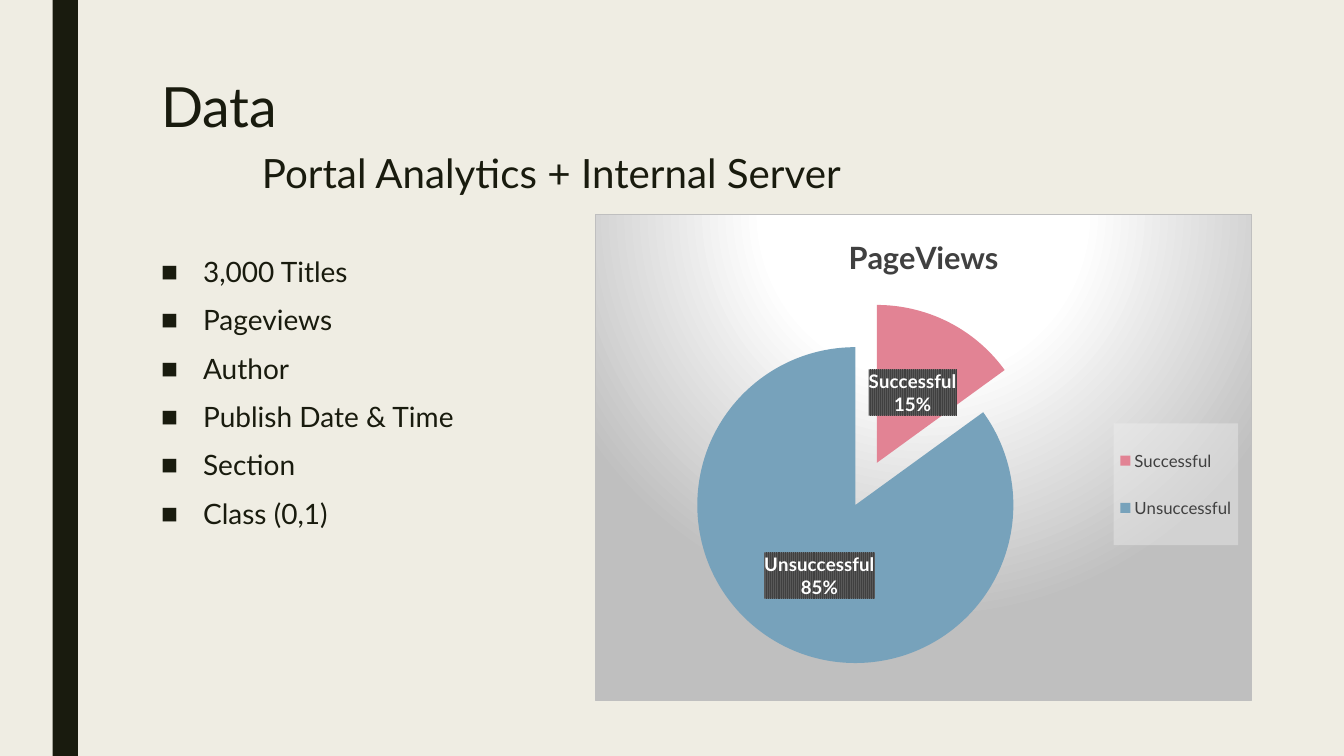
from dataclasses import dataclass

from lxml import etree
from pptx import Presentation
from pptx import util as u
from pptx.chart import data as cd
from pptx.dml import color
from pptx.enum import chart as ce
from pptx.enum import shapes, text
from pptx.oxml import ns, parse_xml

Pt = u.Pt


@dataclass(frozen=True)
class Theme:
    font: str = "Lato"
    paper: str = "EFEDE3"
    ink: str = "191B0E"
    gray: str = "404040"
    hatch: str = "595959"
    panel: str = "F2F2F2"
    white: str = "FFFFFF"
    black: str = "000000"
    border: str = "BFBFBF"
    slices: tuple = ("E28394", "77A2BB")
    title: float = 39.6
    subtitle: float = 28.8
    body: float = 20
    chart_title: float = 22
    chart_text: float = 10
    label: float = 13.3
    legend: float = 12


T = Theme()
BULLETS = ["3,000 Titles", "Pageviews", "Author", "Publish Date & Time",
           "Section", "Class (0,1)"]
SHARES = {"Successful": 15, "Unsuccessful": 85}
EXPLOSIONS = (22, 8)


def rgb(value):
    return color.RGBColor.from_string(value)


def xml(tag, inner="", **attributes):
    el = parse_xml(f'<{tag} {ns.nsdecls("a", "c")}>{inner}</{tag}>')
    for name, value in attributes.items():
        el.set(name, str(value))
    return el


def solid(value, alpha=100):
    return (f'<a:solidFill><a:srgbClr val="{value}">'
            f'<a:alpha val="{alpha * 1000}"/></a:srgbClr></a:solidFill>')


def style(font, size, value, bold=False):
    font.name, font.size, font.bold = T.font, Pt(size), bold
    font.color.rgb = rgb(value)


def add_text(p, content, size=T.body, value=T.ink, bold=False, spacing=1.0,
             before=0, after=0, indent=0, bullet=None):
    r = p.add_run()
    r.text = content
    style(r.font, size, value, bold)
    p.line_spacing = spacing
    p.space_before, p.space_after = Pt(before), Pt(after)
    pPr = p._p.get_or_add_pPr()
    pPr.set("marL", str(Pt(indent)))
    if bullet:
        pPr.set("indent", str(-Pt(indent)))
        pPr.append(xml("a:buFont", typeface="Arial"))
        etree.SubElement(pPr, ns.qn("a:buChar")).set("char", bullet)


def add_box(s, left, top, width, height):
    tf = s.shapes.add_textbox(Pt(left), Pt(top), Pt(width), Pt(height)).text_frame
    tf.word_wrap = True
    tf.vertical_anchor = text.MSO_ANCHOR.TOP
    return tf


def add_stripe(s):
    sp = s.shapes.add_shape(shapes.MSO_SHAPE.RECTANGLE,
                            Pt(37.6), Pt(0), Pt(18), Pt(540))
    sp.shadow.inherit = False
    sp.fill.solid()
    sp.fill.fore_color.rgb = rgb(T.ink)
    sp.line.fill.background()


def add_heading(s):
    tf = add_box(s, 108, 54, 756, 116.6)
    add_text(tf.paragraphs[0], "Data", size=T.title, spacing=0.89)
    add_text(tf.add_paragraph(), "Portal Analytics + Internal Server",
             size=T.subtitle, spacing=0.89, before=10, indent=72)


def add_bullets(s):
    tf = add_box(s, 108, 180, 300, 282)
    for i, item in enumerate(BULLETS):
        p = tf.add_paragraph() if i else tf.paragraphs[0]
        add_text(p, item, spacing=0.94, before=10 if i else 0, after=2,
                 indent=30, bullet="■")


def layout(x, y, w, h, inner=False):
    target = '<c:layoutTarget val="inner"/>' if inner else ""
    modes = '<c:xMode val="edge"/><c:yMode val="edge"/>'
    place = "".join(f'<c:{k} val="{v}"/>' for k, v in zip("xywh", (x, y, w, h)))
    return xml("c:layout",
               f"<c:manualLayout>{target}{modes}{place}</c:manualLayout>")


def drop_layout(el):
    for old in el.findall(ns.qn("c:layout")):
        el.remove(old)


def format_area(chart):
    stops = "".join(
        f'<a:gs pos="{pos * 1000}"><a:srgbClr val="{value}"/></a:gs>'
        for pos, value in ((0, T.white), (39, T.white), (100, T.border)))
    sp_pr = xml("c:spPr", (
        f'<a:gradFill><a:gsLst>{stops}</a:gsLst><a:path path="circle">'
        '<a:fillToRect l="50000" t="-80000" r="50000" b="180000"/></a:path>'
        f'</a:gradFill><a:ln w="{Pt(0.75)}">{solid(T.border)}</a:ln>'))
    chart._chartSpace.find(ns.qn("c:txPr")).addprevious(sp_pr)


def format_legend(chart):
    chart.has_legend = True
    legend = chart.legend
    legend.position = ce.XL_LEGEND_POSITION.RIGHT
    legend.include_in_layout = False
    style(legend.font, T.legend, T.gray)
    el = legend._element
    drop_layout(el)
    el.find(ns.qn("c:overlay")).addprevious(layout(0.79, 0.43, 0.19, 0.25))
    el.find(ns.qn("c:txPr")).addprevious(xml("c:spPr", solid(T.panel, 39)))


def format_labels(plot):
    plot.has_data_labels = True
    labels = plot.data_labels
    labels.show_category_name = labels.show_percentage = True
    labels.show_value = False
    labels.position = ce.XL_LABEL_POSITION.CENTER
    style(labels.font, T.label, T.white, bold=True)
    el = labels._element
    el.find(ns.qn("c:txPr")).addprevious(xml("c:spPr", (
        '<a:pattFill prst="narVert">'
        f'<a:fgClr><a:srgbClr val="{T.gray}"/></a:fgClr>'
        f'<a:bgClr><a:srgbClr val="{T.hatch}"/></a:bgClr></a:pattFill>')))
    el.find(ns.qn("c:showBubbleSize")).addnext(xml("c:separator", "\n"))


def format_slices(plot):
    series = plot.series[0]
    for i, (value, distance) in enumerate(zip(T.slices, EXPLOSIONS)):
        fmt = series.points[i].format
        fmt.fill.solid()
        fmt.fill.fore_color.rgb = rgb(value)
        fmt.line.fill.background()
        dPt = series._element.findall(ns.qn("c:dPt"))[i]
        dPt.find(ns.qn("c:spPr")).addprevious(xml("c:explosion", val=distance))


def add_pie(s):
    data = cd.CategoryChartData()
    data.categories = list(SHARES)
    data.add_series("PageViews", list(SHARES.values()))
    chart = s.shapes.add_chart(ce.XL_CHART_TYPE.PIE, Pt(425), Pt(152.8),
                               Pt(469.2), Pt(348), data).chart
    style(chart.font, T.chart_text, T.black)
    chart.has_title = True
    add_text(chart.chart_title.text_frame.paragraphs[0], "PageViews",
             size=T.chart_title, value=T.gray, bold=True)
    chart.chart_title.include_in_layout = False
    plot = chart.plots[0]
    plot.vary_by_categories = True
    format_area(chart)
    format_slices(plot)
    format_labels(plot)
    format_legend(chart)
    area = plot._element.getparent()
    drop_layout(area)
    area.insert(0, layout(0.16, 0.25, 0.49, 0.65, inner=True))


def main():
    prs = Presentation()
    prs.slide_width, prs.slide_height = Pt(960), Pt(540)
    s = prs.slides.add_slide(prs.slide_layouts[6])
    s.background.fill.solid()
    s.background.fill.fore_color.rgb = rgb(T.paper)
    add_stripe(s)
    add_heading(s)
    add_bullets(s)
    add_pie(s)
    prs.save("out.pptx")


if __name__ == "__main__":
    main()
